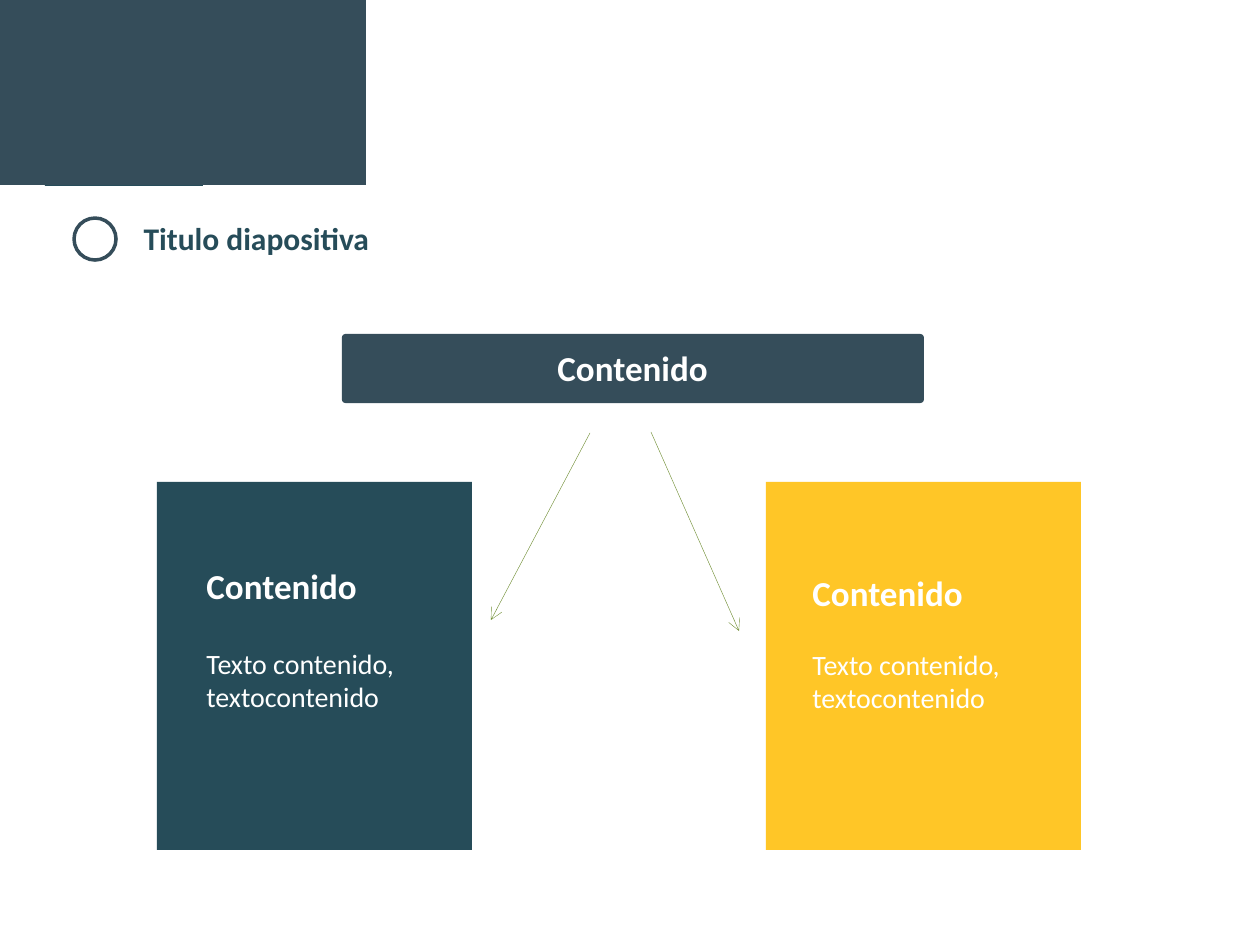
from dataclasses import dataclass

from lxml import etree
from pptx import Presentation
from pptx import util as u
from pptx.dml.color import RGBColor
from pptx.enum import shapes, text
from pptx.oxml.ns import qn

EMU_PER_PX = 914400 / 126


@dataclass(frozen=True)
class Theme:
    font: str = "Calibri"
    slate: str = "354D5A"
    teal: str = "264C59"
    yellow: str = "FFC627"
    olive: str = "749139"
    white: str = "FFFFFF"
    title_size: int = 18
    heading_size: int = 20
    body_size: int = 16


THEME = Theme()


def px(*lengths):
    return [round(length * EMU_PER_PX) for length in lengths]


def write(shape, words, *, size, color=THEME.white, bold=False):
    frame = shape.text_frame
    frame.word_wrap = True
    frame.auto_size = text.MSO_AUTO_SIZE.NONE
    frame.vertical_anchor = text.MSO_ANCHOR.TOP
    paragraph = frame.paragraphs[0]
    paragraph.alignment = text.PP_ALIGN.LEFT
    run = paragraph.add_run()
    run.text = words
    run.font.name = THEME.font
    run.font.size = u.Pt(size)
    run.font.bold = bold
    run.font.color.rgb = RGBColor.from_string(color)


def add_text(slide, words, box, **style):
    write(slide.shapes.add_textbox(*px(*box)), words, **style)


def add_block(slide, box, color, kind=shapes.MSO_SHAPE.RECTANGLE):
    shape = slide.shapes.add_shape(kind, *px(*box))
    shape.shadow.inherit = False
    shape.fill.solid()
    shape.fill.fore_color.rgb = RGBColor.from_string(color)
    shape.line.fill.background()
    return shape


def add_ring(slide, box):
    ring = add_block(slide, box, THEME.slate, shapes.MSO_SHAPE.OVAL)
    ring.fill.background()
    ring.line.color.rgb = RGBColor.from_string(THEME.slate)
    ring.line.width = u.Pt(2)


def add_arrow(slide, start, end):
    arrow = slide.shapes.add_connector(
        shapes.MSO_CONNECTOR.STRAIGHT, *px(*start, *end))
    arrow.line.color.rgb = RGBColor.from_string(THEME.olive)
    arrow.line.width = u.Pt(0.25)
    properties = arrow._element.spPr
    line = properties.find(qn("a:ln"))
    etree.SubElement(line, qn("a:tailEnd"), type="arrow")
    etree.SubElement(properties, qn("a:effectLst"))


def add_title(slide):
    title = slide.shapes.title
    title.left, title.top, title.width, title.height = px(131, 213, 1034, 50)
    write(title, "Titulo diapositiva", size=THEME.title_size,
          color=THEME.teal, bold=True)


def add_card(slide, left, color, text_left, heading_top, body_top):
    add_block(slide, (left, 482, 315, 368), color)
    add_text(slide, "Contenido", (text_left, heading_top, 248, 55),
             size=THEME.heading_size, bold=True)
    add_text(slide, "Texto contenido, textocontenido",
             (text_left, body_top, 248, 81), size=THEME.body_size)


def add_banner(slide):
    banner = add_block(slide, (342, 334, 582, 69), THEME.slate,
                       shapes.MSO_SHAPE.ROUNDED_RECTANGLE)
    banner.adjustments[0] = 0.05
    add_text(slide, "Contenido", (545, 340, 248, 55),
             size=THEME.heading_size, bold=True)


def main():
    presentation = Presentation()
    presentation.slide_width, presentation.slide_height = px(1260, 945)
    slide = presentation.slides.add_slide(presentation.slide_layouts[5])

    add_block(slide, (45, 102, 158, 84), THEME.teal)
    add_block(slide, (0, 0, 366, 185), THEME.slate)
    add_ring(slide, (74, 218, 42, 42))
    add_title(slide)
    add_banner(slide)
    add_card(slide, 157, THEME.teal, 194, 558, 640)
    add_card(slide, 766, THEME.yellow, 800, 565, 641)
    add_arrow(slide, (590, 433), (491, 620))
    add_arrow(slide, (651, 432), (739, 631))

    presentation.save("out.pptx")


if __name__ == "__main__":
    main()
